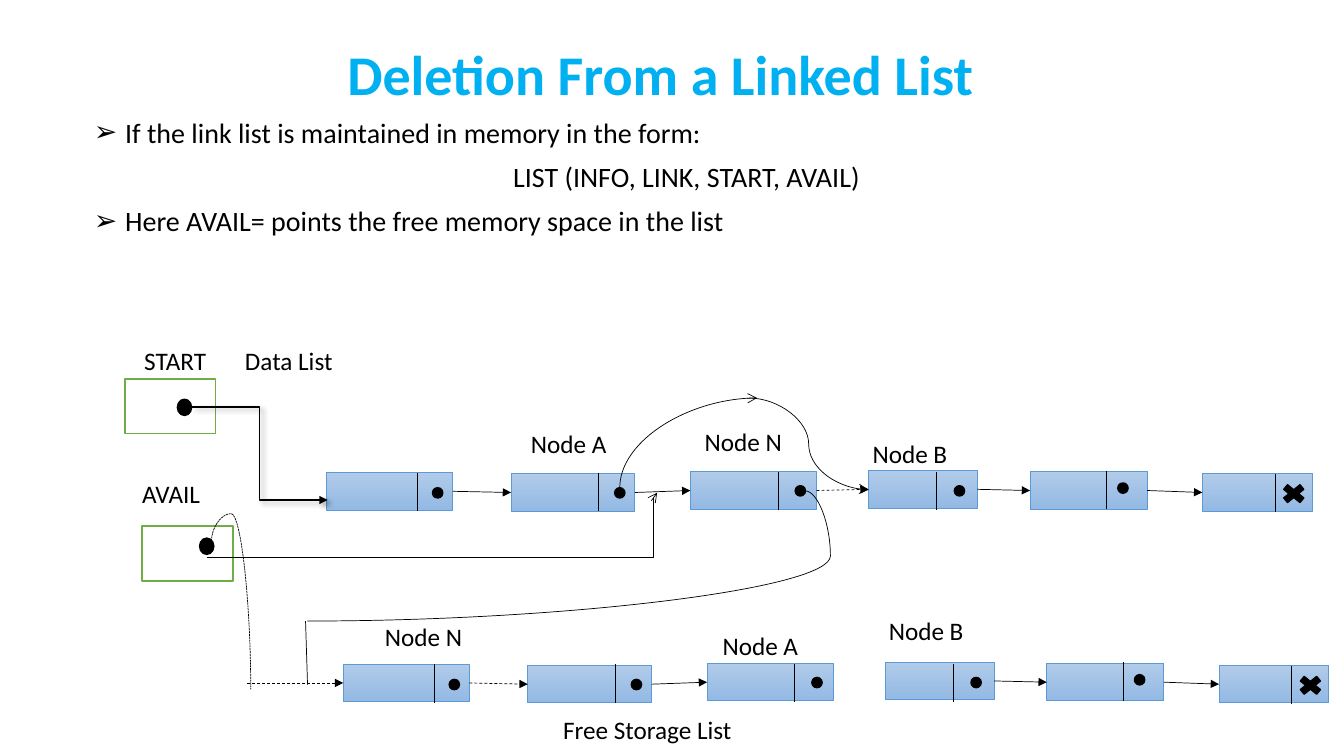
"""Build the slide on deletion from a linked list."""
from dataclasses import dataclass

from lxml import etree
from pptx import Presentation
from pptx.dml.color import RGBColor
from pptx.enum.dml import MSO_LINE
from pptx.enum.shapes import MSO_CONNECTOR, MSO_SHAPE
from pptx.enum.text import MSO_ANCHOR, MSO_AUTO_SIZE, PP_ALIGN
from pptx.oxml.ns import qn
from pptx.util import Cm, Pt

RECT, OVAL, CROSS = MSO_SHAPE.RECTANGLE, MSO_SHAPE.OVAL, MSO_SHAPE.MATH_MULTIPLY
LINE, BENT, CURVE = MSO_CONNECTOR.STRAIGHT, MSO_CONNECTOR.ELBOW, MSO_CONNECTOR.CURVE
SOLID, DASH, DOTS = MSO_LINE.SOLID, MSO_LINE.DASH, MSO_LINE.SQUARE_DOT
LEFT, MID, JUST = PP_ALIGN.LEFT, PP_ALIGN.CENTER, PP_ALIGN.JUSTIFY
TOP, BOTTOM = MSO_ANCHOR.TOP, MSO_ANCHOR.BOTTOM
NO_FIT = MSO_AUTO_SIZE.NONE


@dataclass(frozen=True)
class Theme:
    """Colours, font and type sizes."""
    font: str = "Calibri"
    ink: str = "000000"
    paper: str = "FFFFFF"
    title: str = "00B0F0"
    edge: str = "5B9BD5"
    green: str = "70AD47"
    light: str = "B1CBE9"
    deep: str = "93B9E4"
    head: int = 40
    body: int = 20
    note: int = 18


@dataclass(frozen=True)
class Node:
    """A list node: box, divider and mark."""
    x: float
    y: float
    w: float
    bar: float
    top: float
    mark_x: float
    mark_y: float
    last: bool = False


@dataclass(frozen=True)
class Row:
    """A chain of nodes, with the dash of each arrow."""
    dx: float
    dy: float
    links: tuple


@dataclass(frozen=True)
class Label:
    """A caption."""
    text: str
    x: float
    y: float
    w: float = 2.46


@dataclass(frozen=True)
class Wire:
    """A connector from a to b."""
    kind: int
    a: tuple
    b: tuple
    dash: int = SOLID
    tip: str = ""
    adj: float | None = None
    turn: int = 0
    form: str = ""
    width: float = 0.5
    shade: bool = False


THEME = Theme()
NODES = (
    Node(8.23, 11.91, 3.18, 10.52, 11.91, 10.9, 12.29),
    Node(12.88, 11.94, 3.12, 15.09, 11.91, 15.49, 12.29),
    Node(17.4, 11.89, 3.18, 19.61, 11.89, 20.04, 12.24),
    Node(21.89, 11.86, 2.74, 23.6, 11.89, 24.05, 12.24),
    Node(25.96, 11.89, 2.95, 27.89, 11.86, 28.17, 12.17),
    Node(30.3, 11.94, 2.77, 32.13, 11.94, 32.21, 12.12, True),
)
ROWS = (Row(0, 0, (SOLID, SOLID, DASH, SOLID, SOLID)),
        Row(0.42, 4.83, (DASH, SOLID, None, SOLID, SOLID)))
HEADS = ((3.15, 9.55, 4.47, 10.06), (3.58, 13.26, 5.03, 13.56))
LABELS = (
    Label("AVAIL", 3.33, 11.94), Label("Node A", 13.13, 10.67),
    Label("Node N", 17.51, 10.62, 3.1), Label("Node B", 21.74, 10.92),
    Label("Node N", 9.45, 15.54), Label("Node A", 17.96, 15.75),
    Label("Node B", 22.15, 15.39), Label("Free Storage List", 13.94, 17.88, 5.66),
)
WIRES = (
    Wire(BENT, (4.83, 10.26), (8.26, 12.6), tip="triangle", width=1, shade=True),
    Wire(CURVE, (5.33, 13.64), (6.32, 17.37), DOTS, adj=-0.187, turn=270),
    Wire(BENT, (5.21, 14.05), (16.56, 12.42), tip="arrow", adj=0.991),
    Wire(CURVE, (20.29, 12.37), (7.75, 15.65), adj=-0.051),
    Wire(LINE, (7.7, 15.65), (7.75, 17.25)),
    Wire(CURVE, (15.62, 12.29), (19.08, 10.03), tip="arrow", turn=90,
         form="curvedConnector2"),
    Wire(CURVE, (18.87, 10.03), (21.89, 12.34), tip="arrow"),
)


def write(par, text: str, *, size: int = THEME.note, color: str = THEME.ink,
          bold: bool = False, align=LEFT, before: float = 0, space: float = 1,
          left: float = 0, first: float = 0, bullet: str = "", tab: float = 0) -> None:
    """Fill a paragraph with formatted text."""
    props = par._p.get_or_add_pPr()
    props.set("marL", str(Cm(left)))
    props.set("indent", str(Cm(first)))
    if bullet:
        etree.SubElement(props, qn("a:buChar")).set("char", bullet)
    if tab:
        stops = etree.SubElement(props, qn("a:tabLst"))
        etree.SubElement(stops, qn("a:tab"), pos=str(Cm(tab)), algn="l")
    par.alignment, par.space_before, par.line_spacing = align, Pt(before), space
    run = par.add_run()
    run.text = text
    font = run.font
    font.name, font.size, font.bold = THEME.font, Pt(size), bold
    font.color.rgb = RGBColor.from_string(color)


def place(holder, x: float, y: float, w: float, h: float, anchor):
    """Move a placeholder and return its text frame."""
    holder.left, holder.top, holder.width, holder.height = Cm(x), Cm(y), Cm(w), Cm(h)
    frame = holder.text_frame
    frame.word_wrap, frame.auto_size, frame.vertical_anchor = True, NO_FIT, anchor
    return frame


def block(slide, kind, x: float, y: float, w: float, h: float,
          fill: str = THEME.ink, edge: str = THEME.ink, width: float = 1, fade: str = ""):
    """Draw a filled shape, with a vertical fade if asked."""
    shape = slide.shapes.add_shape(kind, Cm(x), Cm(y), Cm(w), Cm(h))
    shape.shadow.inherit = False
    if fade:
        shape.fill.gradient()
        shape.fill.gradient_angle = 270
        for stop, tone in zip(shape.fill.gradient_stops, (fill, fade)):
            stop.color.rgb = RGBColor.from_string(tone)
    else:
        shape.fill.solid()
        shape.fill.fore_color.rgb = RGBColor.from_string(fill)
    shape.line.color.rgb = RGBColor.from_string(edge)
    shape.line.width = Pt(width)
    return shape


def unturn(wire: Wire) -> tuple:
    """Give the end points before the wire is turned."""
    (ax, ay), (bx, by) = wire.a, wire.b
    if not wire.turn:
        return ax, ay, bx, by
    sign = 1 if wire.turn == 90 else -1
    mx, my = (ax + bx) / 2, (ay + by) / 2
    dx, dy = sign * (ay - my), -sign * (ax - mx)
    return mx + dx, my + dy, mx - dx, my - dy


def draw(slide, wire: Wire):
    """Draw a connector."""
    link = slide.shapes.add_connector(wire.kind, *map(Cm, unturn(wire)))
    link.line.color.rgb = RGBColor.from_string(THEME.ink)
    link.line.width, link.line.dash_style = Pt(wire.width), wire.dash
    props = link.element.spPr
    if wire.tip:
        etree.SubElement(props.find(qn("a:ln")), qn("a:tailEnd")).set("type", wire.tip)
    if wire.turn:
        props.find(qn("a:xfrm")).set("rot", str(wire.turn * 60000))
    geom = props.find(qn("a:prstGeom"))
    if wire.form:
        geom.set("prst", wire.form)
    if wire.adj is not None:
        etree.SubElement(geom.find(qn("a:avLst")), qn("a:gd"),
                         name="adj1", fmla=f"val {round(wire.adj * 100000)}")
    glow = etree.SubElement(props, qn("a:effectLst"))
    if wire.shade:
        cast = etree.SubElement(glow, qn("a:outerShdw"), blurRad=str(Pt(4)),
                                dist=str(Pt(3)), dir="2700000")
        tone = etree.SubElement(cast, qn("a:srgbClr"), val=THEME.ink)
        etree.SubElement(tone, qn("a:alpha"), val="40000")
    return link


def chain(slide, row: Row) -> list:
    """Draw a row of nodes and the arrows that join them."""
    boxes = []
    for node in NODES:
        boxes.append(block(slide, RECT, node.x + row.dx, node.y + row.dy, node.w, 0.94,
                           THEME.light, THEME.edge, 0.5, THEME.deep))
        bar, top = node.bar + row.dx, node.top + row.dy
        draw(slide, Wire(LINE, (bar, top), (bar, top + 0.97)))
        kind, w, h = (CROSS, 0.79, 0.64) if node.last else (OVAL, 0.26, 0.26)
        block(slide, kind, node.mark_x + row.dx, node.mark_y + row.dy, w, h)
    for dash, tail, head in zip(row.links, boxes, boxes[1:]):
        if dash is not None:
            link = draw(slide, Wire(LINE, (0, 0), (1, 1), dash, "triangle"))
            link.begin_connect(tail, 3)
            link.end_connect(head, 1)
    return boxes


def main() -> None:
    """Build and save the slide."""
    deck = Presentation()
    deck.slide_width, deck.slide_height = Cm(33.87), Cm(19.05)
    slide = deck.slides.add_slide(deck.slide_layouts[0])
    title, body = slide.placeholders
    frame = place(title, 2.11, 0.79, 29.06, 2.06, BOTTOM)
    write(frame.paragraphs[0], "Deletion From a Linked List", size=THEME.head,
          color=THEME.title, bold=True, align=MID, space=0.9)
    frame = place(body, 2.11, 2.87, 30.38, 15.7, TOP)
    item = dict(size=THEME.body, align=JUST, left=0.79, first=-0.79, bullet="➢")
    lines = (
        ("If the link list is maintained in memory in the form:", item),
        ("LIST (INFO, LINK, START, AVAIL)", dict(size=THEME.body, align=MID, before=10)),
        ("Here AVAIL= points the free memory space in the list", item | dict(before=10)),
        ("START\tData List", dict(before=79, first=1.27, tab=14.15)),
    )
    for spot, (text, look) in enumerate(lines):
        par = frame.add_paragraph() if spot else frame.paragraphs[0]
        write(par, text, space=0.9, **look)
    for x, y, dot_x, dot_y in HEADS:
        block(slide, RECT, x, y, 2.29, 1.38, THEME.paper, THEME.green)
        block(slide, OVAL, dot_x, dot_y, 0.36, 0.41)
    _, free = (chain(slide, row) for row in ROWS)
    entry = draw(slide, Wire(LINE, (6.22, 17.21), (8.66, 17.21), DASH, "triangle"))
    entry.end_connect(free[0], 1)
    for wire in WIRES:
        draw(slide, wire)
    for label in LABELS:
        box = slide.shapes.add_textbox(Cm(label.x), Cm(label.y), Cm(label.w), Cm(1.02))
        box.text_frame.word_wrap = True
        write(box.text_frame.paragraphs[0], label.text)
    deck.save("out.pptx")


if __name__ == "__main__":
    main()
